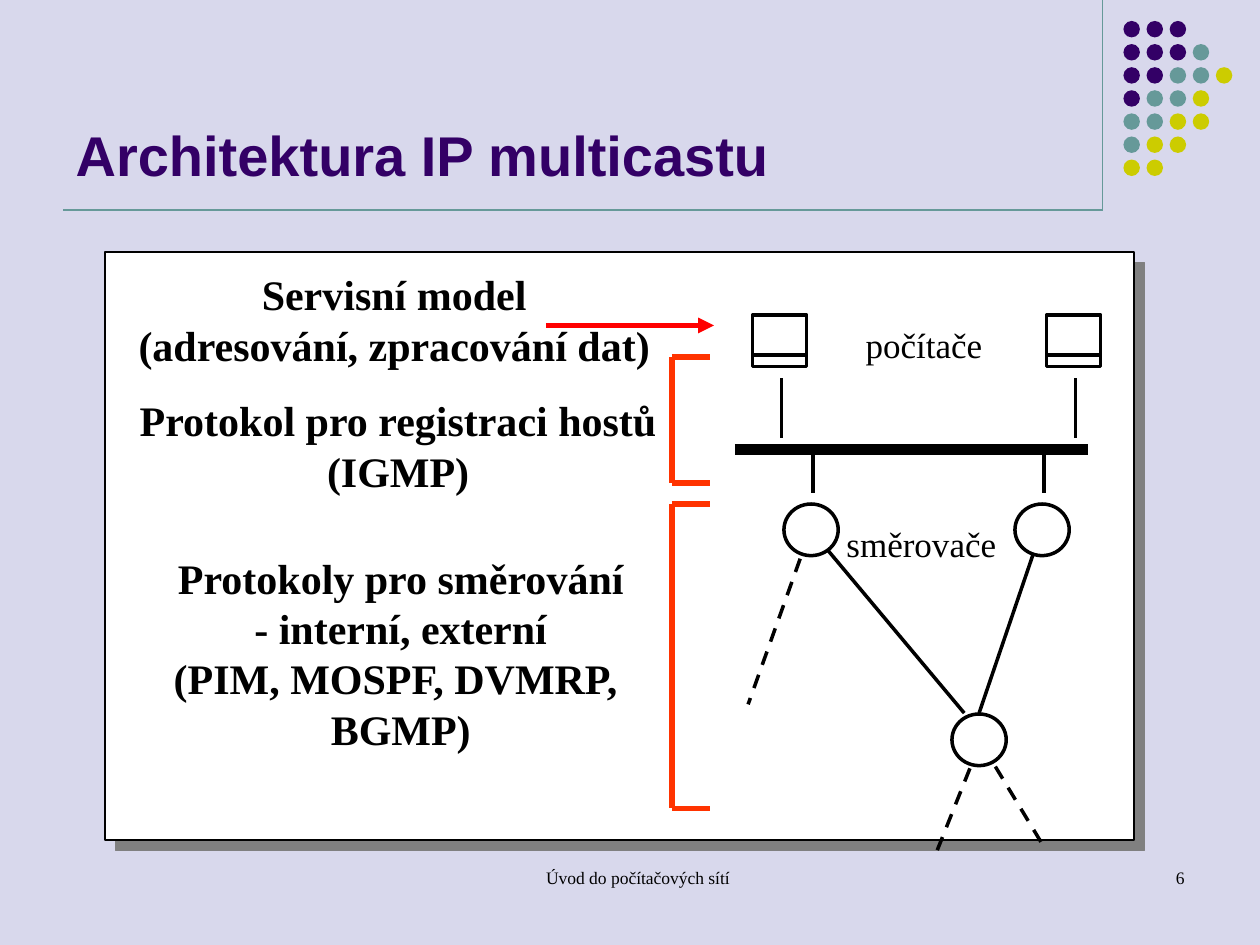
from lxml.etree import SubElement
from pptx import Presentation
from pptx.dml.color import RGBColor
from pptx.enum.dml import MSO_LINE
from pptx.enum.shapes import MSO_CONNECTOR, MSO_SHAPE
from pptx.enum.text import MSO_ANCHOR, MSO_AUTO_SIZE, PP_ALIGN
from pptx.oxml.ns import qn
from pptx.util import Pt

LAVENDER = RGBColor(0xD8, 0xD8, 0xEC)
PURPLE = RGBColor(0x33, 0x00, 0x66)
TEAL = RGBColor(0x66, 0x99, 0x99)
OLIVE = RGBColor(0xCC, 0xCC, 0x00)
BLACK = RGBColor(0, 0, 0)
WHITE = RGBColor(0xFF, 0xFF, 0xFF)
RED = RGBColor(0xFF, 0, 0)
ORANGE = RGBColor(0xFF, 0x33, 0x00)

DOT_COLORS = {"P": PURPLE, "T": TEAL, "O": OLIVE}
DOT_ROWS = ["PPP", "PPPT", "PPTTO", "PTTO", "TTOO", "TOO", "OO"]
NODE_WIDTH, NODE_HEIGHT = 31, 29.5


def write_text(text_frame, text, size=24, font="Times New Roman", color=BLACK,
               bold=False, align=PP_ALIGN.CENTER):
    """Write text; a newline starts a paragraph, a vertical tab breaks a line."""
    text_frame.text = text
    for paragraph in text_frame.paragraphs:
        paragraph.alignment = align
        for run in paragraph.runs:
            run.font.size = Pt(size)
            run.font.name = font
            run.font.bold = bold
            run.font.color.rgb = color


def add_text(slide, box, text, wrap=False, **text_format):
    text_frame = slide.shapes.add_textbox(*map(Pt, box)).text_frame
    text_frame.word_wrap = wrap
    if not wrap:
        text_frame.auto_size = MSO_AUTO_SIZE.SHAPE_TO_FIT_TEXT
    write_text(text_frame, text, **text_format)


def add_shape(slide, kind, box, fill=WHITE, line_width=0):
    shape = slide.shapes.add_shape(kind, *map(Pt, box))
    shape.shadow.inherit = False
    shape.fill.solid()
    shape.fill.fore_color.rgb = fill
    if line_width:
        shape.line.color.rgb = BLACK
        shape.line.width = Pt(line_width)
    else:
        shape.line.fill.background()
    return shape


def add_line(slide, x1, y1, x2, y2, color=BLACK, width=2, dashed=False, arrow=False):
    line = slide.shapes.add_connector(
        MSO_CONNECTOR.STRAIGHT, Pt(x1), Pt(y1), Pt(x2), Pt(y2))
    line.line.color.rgb = color
    line.line.width = Pt(width)
    if dashed:
        line.line.dash_style = MSO_LINE.DASH
    if arrow:
        SubElement(line.line._get_or_add_ln(), qn("a:tailEnd"), type="triangle")
    SubElement(line._element.spPr, qn("a:effectLst"))


def add_header(slide, left, top, width, height):
    title = slide.shapes.title
    title.left, title.top = Pt(left), Pt(top + 9)
    title.width, title.height = Pt(width), Pt(height - 18)
    text_frame = title.text_frame
    text_frame.vertical_anchor = MSO_ANCHOR.BOTTOM
    text_frame.word_wrap = True
    text_frame.auto_size = MSO_AUTO_SIZE.NONE
    write_text(text_frame, "Architektura IP multicastu", size=32, font="Arial",
               color=PURPLE, bold=True, align=PP_ALIGN.LEFT)
    right, bottom = left + width, top + height
    add_line(slide, right, top, right, bottom, color=TEAL, width=0.75)
    add_line(slide, left, bottom, right, bottom, color=TEAL, width=0.75)


def add_dots(slide, left, top, pitch=13.2, diameter=9.4):
    for row, colors in enumerate(DOT_ROWS):
        for column, color in enumerate(colors):
            box = left + column * pitch, top + row * pitch, diameter, diameter
            add_shape(slide, MSO_SHAPE.OVAL, box, fill=DOT_COLORS[color])


def add_card(slide, box):
    card = add_shape(slide, MSO_SHAPE.RECTANGLE, box, line_width=0.75)
    effects = card._element.spPr.find(qn("a:effectLst"))
    shadow = SubElement(effects, qn("a:outerShdw"), dist=str(Pt(8.5)),
                        dir="2700000", algn="ctr", rotWithShape="0")
    SubElement(shadow, qn("a:srgbClr"), val="808080")


def add_host(slide, left, top):
    box = left, top, NODE_WIDTH, NODE_HEIGHT
    add_shape(slide, MSO_SHAPE.RECTANGLE, box, line_width=2)
    add_line(slide, left, top + 23, left + NODE_WIDTH, top + 23)
    add_line(slide, left + 16.5, top + 36, left + 16.5, top + 70.5)


def add_network(slide, left, top):
    """Draw hosts on a shared bus above a tree of routers."""
    for x in (10, 178):
        add_host(slide, left + x, top + 36)
    add_line(slide, left, top + 113, left + 201.5, top + 113, width=6)

    links = [(174, 162, 139.5, 263.5, False), (46, 162, 131, 263.5, False),
             (42, 162, 7.5, 258.5, True), (139.5, 282, 115.5, 342, True),
             (141.5, 282, 176, 339, True)]
    for x1, y1, x2, y2, dashed in links:
        add_line(slide, left + x1, top + y1, left + x2, top + y2, dashed=dashed)

    for x, y in ((28, 144), (160, 144), (124, 264)):
        box = left + x, top + y, NODE_WIDTH, NODE_HEIGHT
        add_shape(slide, MSO_SHAPE.OVAL, box, line_width=2)
    for x in (44.5, 176.5):
        add_line(slide, left + x, top + 114, left + x, top + 138)

    add_text(slide, (left + 67.5, top + 37.5, 81, 31), "počítače", size=20)
    add_text(slide, (left + 56.5, top + 151, 100, 31), "směrovače", size=20)


def add_bracket(slide, left, top, width, height):
    bottom, right = top + height, left + width
    add_line(slide, left, top, left, bottom, color=ORANGE, width=3)
    for y in (top, bottom):
        add_line(slide, left, y, right, y, color=ORANGE, width=3)


def add_layers(slide, left, top):
    """Describe the protocol layers and tie them to the network."""
    layers = [
        (12, 6, 306.5, 65, "Servisní model\n(adresování, zpracování dat)"),
        (12, 78, 311, 65, "Protokol pro registraci hostů\v(IGMP)"),
        (30, 168, 278, 122, "Protokoly pro směrování\n- interní, externí"
                            "\v(PIM, MOSPF, DVMRP, \nBGMP)"),
    ]
    for x, y, width, height, text in layers:
        add_text(slide, (left + x, top + y, width, height), text, bold=True)
    add_bracket(slide, left + 324, top + 60, 22, 72)
    add_bracket(slide, left + 324, top + 144, 22, 174)
    add_line(slide, left + 252, top + 42, left + 348, top + 42,
             color=RED, width=3, arrow=True)


def add_footer(slide, top, height):
    add_text(slide, (246, top, 237, height), "Úvod do počítačových sítí",
             wrap=True, size=10)
    add_text(slide, (516, top, 168, height), "6", wrap=True, size=10,
             align=PP_ALIGN.RIGHT)


def main():
    presentation = Presentation()
    presentation.slide_width, presentation.slide_height = Pt(720), Pt(540)
    slide = presentation.slides.add_slide(presentation.slide_layouts[5])
    slide.background.fill.solid()
    slide.background.fill.fore_color.rgb = LAVENDER

    add_header(slide, 36, 0, 594, 120)
    add_dots(slide, 642, 12)
    card_left, card_top = 60, 144
    add_card(slide, (card_left, card_top, 588, 336))
    add_network(slide, card_left + 360, card_top)
    add_layers(slide, card_left, card_top)
    add_footer(slide, 492, 36)
    presentation.save("out.pptx")


if __name__ == "__main__":
    main()
